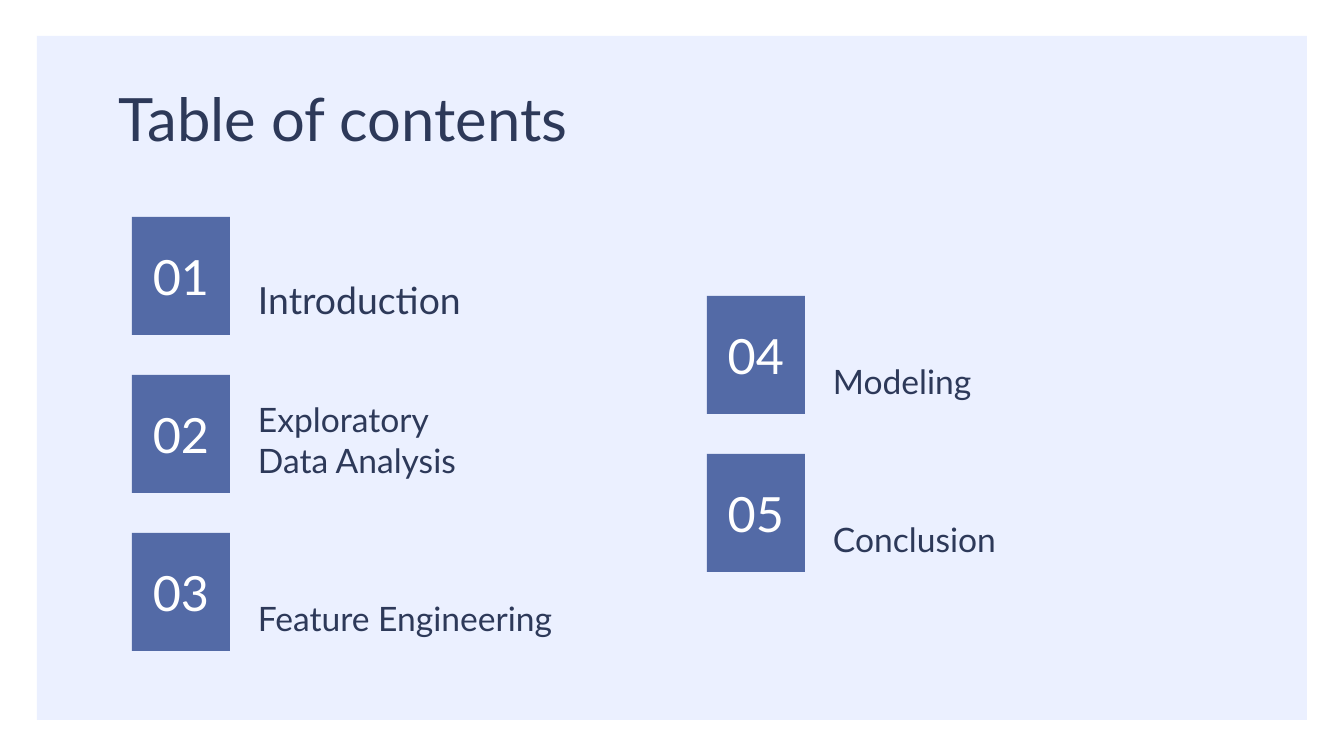
import pptx
import pptx.util
from pptx.dml.color import RGBColor
from pptx.enum.shapes import MSO_SHAPE
from pptx.enum.text import MSO_ANCHOR, PP_ALIGN

EMU_PER_PX = 914400 / 134.4
FONT = "Lato"
WHITE = RGBColor(0xFF, 0xFF, 0xFF)
PALE = RGBColor(0xEB, 0xF0, 0xFF)
BLUE = RGBColor(0x53, 0x6A, 0xA6)
NAVY = RGBColor(0x2D, 0x39, 0x59)

INSET = 13
TILE_WIDTH, TILE_HEIGHT = 98, 118
ROW_PITCH = 158
LABEL_OFFSET, LABEL_WIDTH = 113, 387

COLUMNS = [
    (132, 217, [("Introduction", 20), ("Exploratory\nData Analysis", 18), ("Feature Engineering", 18)]),
    (707, 296, [("Modeling", 18), ("Conclusion", 18)]),
]


def px(length):
    return pptx.util.Emu(round(length * EMU_PER_PX))


def write_text(shape, text, size, color, anchor, align=PP_ALIGN.LEFT):
    frame = shape.text_frame
    frame.word_wrap = True
    frame.vertical_anchor = anchor
    frame.margin_left = frame.margin_right = px(INSET)
    frame.margin_top = frame.margin_bottom = px(INSET)
    frame.text = text
    for para in frame.paragraphs:
        para.alignment = align
        para.font.name = FONT
        para.font.size = pptx.util.Pt(size)
        para.font.color.rgb = color


def add_rectangle(page, left, top, width, height, color):
    box = page.shapes.add_shape(MSO_SHAPE.RECTANGLE, px(left), px(top), px(width), px(height))
    box.shadow.inherit = False
    box.fill.solid()
    box.fill.fore_color.rgb = color
    box.line.fill.background()
    return box


def add_text(page, left, top, width, height, text, size, anchor):
    box = page.shapes.add_textbox(px(left), px(top), px(width), px(height))
    write_text(box, text, size, NAVY, anchor)


def add_entry(page, left, top, number, label, size):
    tile = add_rectangle(page, left, top, TILE_WIDTH, TILE_HEIGHT, BLUE)
    write_text(tile, f"{number:02d}", 26, WHITE, MSO_ANCHOR.MIDDLE, PP_ALIGN.CENTER)
    add_text(page, left + LABEL_OFFSET, top, LABEL_WIDTH, TILE_HEIGHT, label, size, MSO_ANCHOR.BOTTOM)


def main():
    deck = pptx.Presentation()
    deck.slide_width, deck.slide_height = px(1344), px(756)
    page = deck.slides.add_slide(deck.slide_layouts[6])
    page.background.fill.solid()
    page.background.fill.fore_color.rgb = WHITE

    add_rectangle(page, 37, 36, 1270, 684, PALE)
    add_text(page, 106, 69, 1133, 87, "Table of contents", 32, MSO_ANCHOR.TOP)

    number = 1
    for left, top, entries in COLUMNS:
        for row, (label, size) in enumerate(entries):
            add_entry(page, left, top + row * ROW_PITCH, number, label, size)
            number += 1

    deck.save("out.pptx")


if __name__ == "__main__":
    main()
